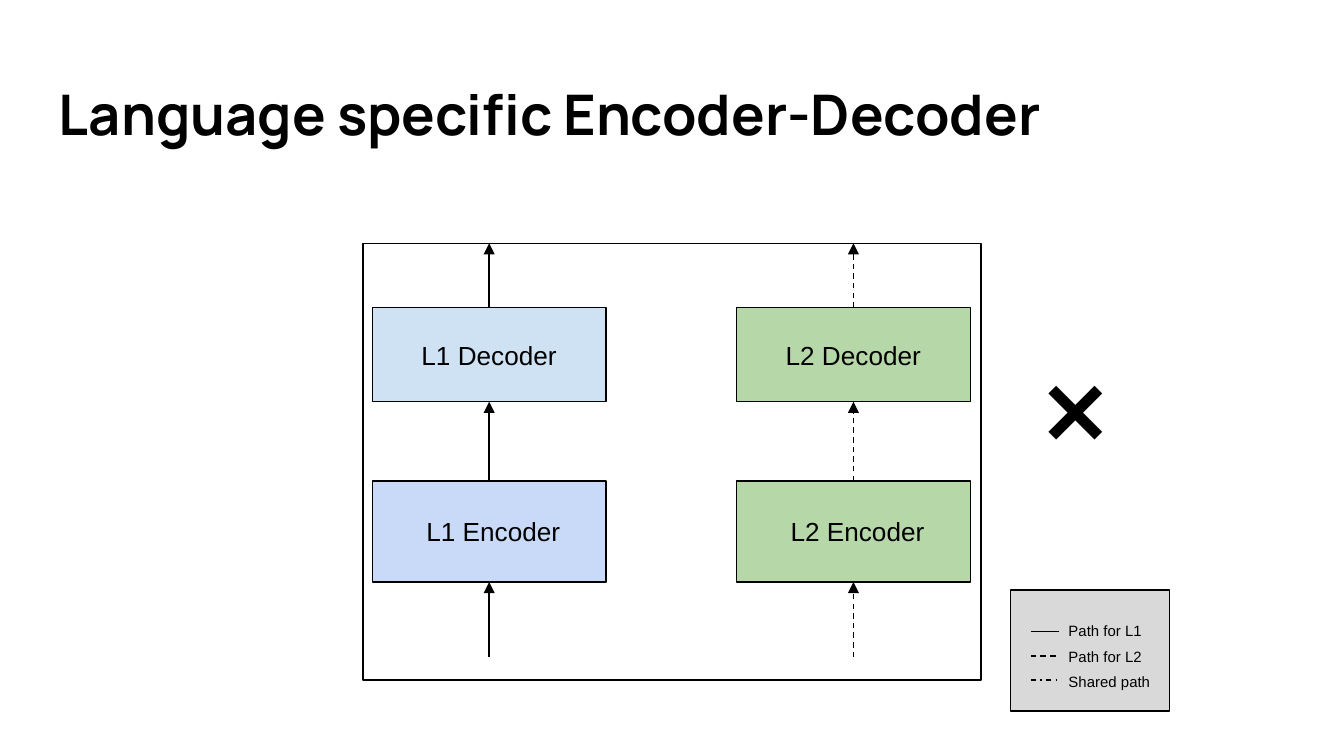
from dataclasses import dataclass

from lxml.etree import SubElement
from pptx import Presentation
from pptx.dml.color import RGBColor
from pptx.enum.dml import MSO_LINE
from pptx.enum.shapes import MSO_CONNECTOR, MSO_SHAPE
from pptx.enum.text import MSO_ANCHOR, PP_ALIGN
from pptx.oxml.ns import qn
from pptx.util import Inches, Pt


@dataclass(frozen=True)
class Theme:
    ink: str = "000000"
    blue: str = "CFE2F3"
    violet: str = "C9DAF8"
    green: str = "B6D7A8"
    grey: str = "D9D9D9"
    head: str = "Manrope"
    body: str = "Arial"
    mark: str = "Lato"
    title: float = 30
    label: float = 14
    small: float = 8
    cross: float = 50
    rule: float = 0.75


THEME = Theme()
TOP, BOTTOM = 0, 2


def color(code):
    return RGBColor.from_string(code)


def style(para, face, size, bold=False):
    font = para.font
    font.name, font.size, font.bold = face, Pt(size), bold
    font.color.rgb = color(THEME.ink)


def add_text(slide, box, text, face, size, bold=False):
    frame = slide.shapes.add_textbox(*map(Inches, box)).text_frame
    frame.word_wrap = True
    frame.margin_left = frame.margin_right = Inches(0.1)
    frame.margin_top = frame.margin_bottom = Inches(0.1)
    frame.text = text
    style(frame.paragraphs[0], face, size, bold)


def add_box(slide, box, fill=None):
    shape = slide.shapes.add_shape(MSO_SHAPE.RECTANGLE, *map(Inches, box))
    shape.shadow.inherit = False
    if fill:
        shape.fill.solid()
        shape.fill.fore_color.rgb = color(fill)
    else:
        shape.fill.background()
    shape.line.color.rgb = color(THEME.ink)
    shape.line.width = Pt(THEME.rule)
    return shape


def add_line(slide, start, end, dash=None, arrow=False):
    line = slide.shapes.add_connector(
        MSO_CONNECTOR.STRAIGHT, *map(Inches, (*start, *end)))
    line.line.color.rgb = color(THEME.ink)
    line.line.width = Pt(THEME.rule)
    if dash:
        line.line.dash_style = dash
    if arrow:
        SubElement(line.line._get_or_add_ln(), qn("a:tailEnd"), type="triangle")
    SubElement(line._element.spPr, qn("a:effectLst"))
    return line


def add_block(slide, box, text, fill, shift=0):
    """Draw a labelled block; shift widens the left margin of its label."""
    shape = add_box(slide, box, fill)
    frame = shape.text_frame
    frame.vertical_anchor = MSO_ANCHOR.MIDDLE
    frame.margin_left = Inches(0.1 + shift)
    frame.text = text
    para = frame.paragraphs[0]
    para.alignment = PP_ALIGN.CENTER
    style(para, THEME.body, THEME.label)
    return shape


def add_stack(slide, box, name, fills, dash=None):
    """Draw one language's encoder and decoder with the path through them."""
    left, top, width, height = box
    mid = left + width / 2
    upper, lower = top + 0.48, top + 1.77
    decoder = add_block(slide, (left, upper, width, 0.7),
                        f"{name} Decoder", fills[0])
    encoder = add_block(slide, (left, lower, width, 0.75),
                        f"{name} Encoder", fills[1], shift=0.06)

    enter = add_line(slide, (mid, top + height), (mid, lower + 0.75), dash, True)
    enter.end_connect(encoder, BOTTOM)
    link = add_line(slide, (mid, lower), (mid, upper + 0.7), dash, True)
    link.begin_connect(encoder, TOP)
    link.end_connect(decoder, BOTTOM)
    leave = add_line(slide, (mid, upper), (mid, top), dash, True)
    leave.begin_connect(decoder, TOP)


def add_model(slide, box):
    left, top, width, height = box
    add_box(slide, box)
    stacks = [
        ("L1", (THEME.blue, THEME.violet), None),
        ("L2", (THEME.green, THEME.green), MSO_LINE.DASH),
    ]
    for i, (name, fills, dash) in enumerate(stacks):
        area = (left + 0.07 + i * 2.71, top, 1.74, height - 0.17)
        add_stack(slide, area, name, fills, dash)


def add_legend(slide, box):
    left, top, width, height = box
    frame = add_box(slide, box, THEME.grey).text_frame
    frame.vertical_anchor = MSO_ANCHOR.MIDDLE
    frame.margin_left, frame.margin_right = Inches(0.43), 0
    frame.margin_top, frame.margin_bottom = Inches(0.03), 0
    rows = [
        ("Path for L1", None),
        ("Path for L2", MSO_LINE.DASH),
        ("Shared path", MSO_LINE.DASH_DOT),
    ]
    frame.text = "\n".join(text for text, _ in rows)
    for i, (para, (_, dash)) in enumerate(zip(frame.paragraphs, rows)):
        para.alignment = PP_ALIGN.LEFT
        para.line_spacing = Pt(13.5)
        style(para, THEME.body, THEME.small)
        y = top + 0.31 + i * 0.18
        add_line(slide, (left + 0.15, y), (left + 0.36, y), dash)


def main():
    deck = Presentation()
    deck.slide_width = Inches(10)
    deck.slide_height = deck.slide_width * 9 // 16
    slide = deck.slides.add_slide(deck.slide_layouts[6])
    add_text(slide, (0.34, 0.49, 9.32, 0.68),
             "Language specific Encoder-Decoder",
             THEME.head, THEME.title, bold=True)
    add_model(slide, (2.7, 1.81, 4.6, 3.25))
    add_legend(slide, (7.52, 4.39, 1.18, 0.9))
    add_text(slide, (7.67, 2.52, 0.99, 1.12), "❌", THEME.mark, THEME.cross)
    deck.save("out.pptx")


if __name__ == "__main__":
    main()
